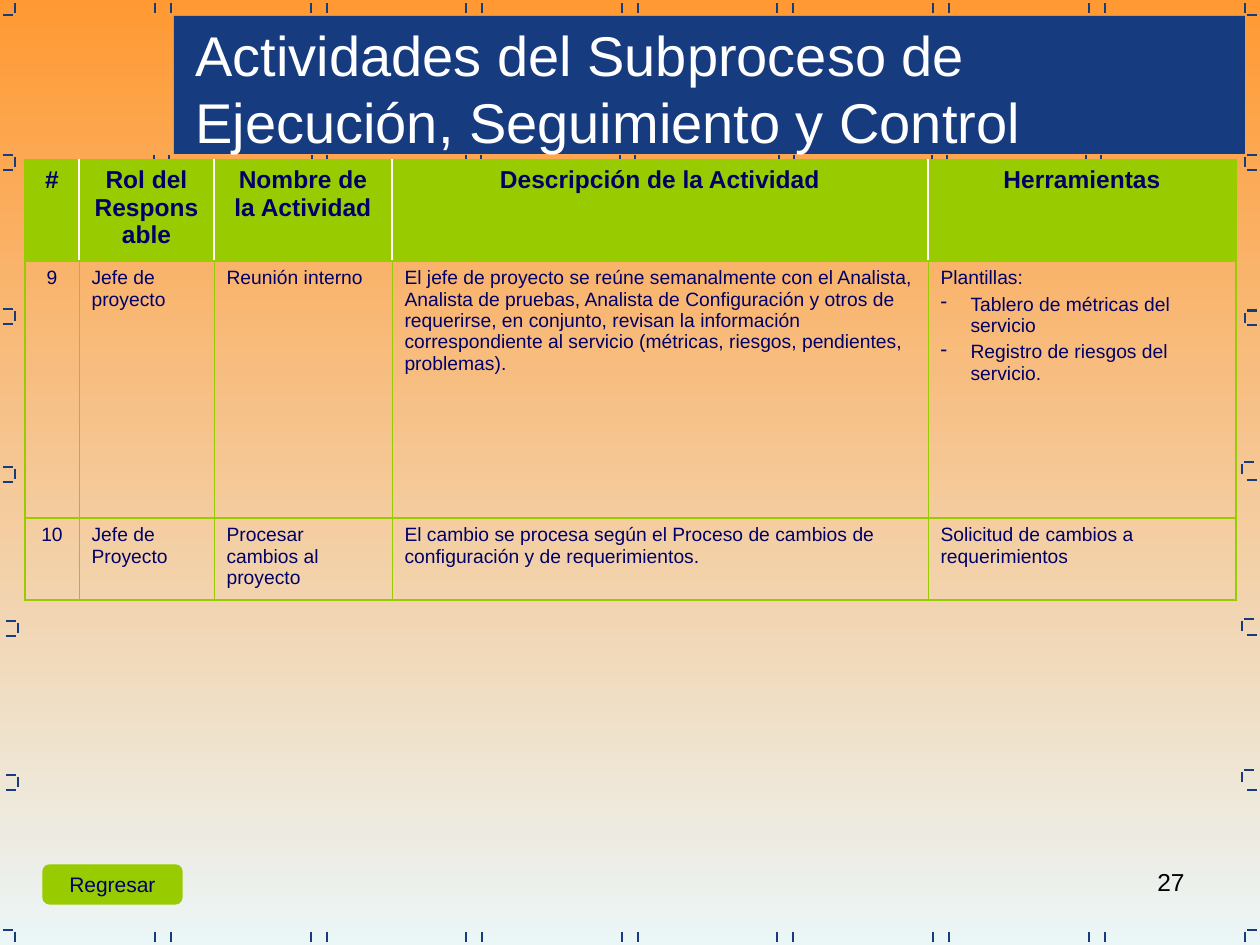
from lxml import etree
from pptx import Presentation
from pptx.dml.color import RGBColor
from pptx.enum.shapes import MSO_CONNECTOR, MSO_SHAPE
from pptx.enum.text import MSO_ANCHOR, PP_ALIGN
from pptx.oxml.ns import qn
from pptx.util import Pt

PX = 914400 / 126
STRAIGHT = MSO_CONNECTOR.STRAIGHT
RECTANGLE, BUTTON = MSO_SHAPE.RECTANGLE, MSO_SHAPE.FLOWCHART_ALTERNATE_PROCESS
CENTER, RIGHT, LEFT = PP_ALIGN.CENTER, PP_ALIGN.RIGHT, PP_ALIGN.LEFT
MIDDLE = MSO_ANCHOR.MIDDLE

BLUE, GREEN, NAVY, WHITE, BLACK = "163B7F", "99CC00", "000066", "FFFFFF", "000000"
SKY = [("FF9933", 0), ("EBF6F7", 1)]
TITLE_FORMAT = {"size": Pt(32), "color": WHITE}
NUMBER_FORMAT = {"size": Pt(14), "color": BLACK}
BUTTON_FORMAT = {"size": Pt(12), "color": NAVY}
HEADER_FORMAT = {"size": Pt(14), "bold": True, "color": NAVY}
BODY_FORMAT = {"size": Pt(11), "bold": False, "color": NAVY}

COLUMN_WIDTHS = [54, 135, 178, 536, 308]
ROW_HEIGHTS = [101, 257, 82]
ACTIVITIES = [
    ["#", "Rol del Responsable", "Nombre de la Actividad",
     "Descripción de la Actividad", "Herramientas"],
    ["9", "Jefe de proyecto", "Reunión interno",
     "El jefe de proyecto se reúne semanalmente con el Analista, Analista de pruebas, "
     "Analista de Configuración y otros de requerirse, en conjunto, revisan la información "
     "correspondiente al servicio (métricas, riesgos, pendientes, problemas).",
     ["Plantillas:", "Tablero de métricas del servicio", "Registro de riesgos del servicio."]],
    ["10", "Jefe de Proyecto", "Procesar cambios al proyecto",
     "El cambio se procesa según el Proceso de cambios de configuración y de requerimientos.",
     "Solicitud de cambios a requerimientos"],
]


def px(length):
    """Turn pixels into EMU."""
    return round(length * PX)


def rgb(hex_color):
    """Turn a hex string into a colour."""
    return RGBColor.from_string(hex_color)


def write(paragraph, text, font_format, alignment=LEFT):
    """Fill a paragraph with one formatted run."""
    paragraph.alignment = alignment
    font = paragraph.add_run()
    font.text = text
    font = font.font
    font.name = "Arial"
    for name, value in font_format.items():
        if name == "color":
            font.color.rgb = rgb(value)
        else:
            setattr(font, name, value)


def add_tick(slide, x1, y1, x2, y2):
    """Draw one thin blue mark."""
    tick = slide.shapes.add_connector(STRAIGHT, px(x1), px(y1), px(x2), px(y2))
    tick.line.color.rgb = rgb(BLUE)
    tick.line.width = Pt(0.75)
    etree.SubElement(tick._element.spPr, qn("a:effectLst"))


def add_spine(slide, x, top):
    """Draw a vertical mark."""
    add_tick(slide, x, top, x, top + 10)


def add_arm(slide, x, y):
    """Draw a horizontal mark."""
    add_tick(slide, x, y, x + 10, y)


def add_edge(slide, left, top):
    """Draw the seven pairs of marks along a horizontal edge."""
    for index in range(7):
        x = left + round(155.6 * index)
        add_spine(slide, x, top)
        add_spine(slide, x + 16, top)


def add_under_title(slide, lefts, top):
    """Draw the cups that hang below the title bar."""
    for left in lefts:
        add_spine(slide, left, top)
        add_spine(slide, left + 15, top)
        add_arm(slide, left + 3, top + 13)


def add_side(slide, corner_x, arm_offset, hooks, arms):
    """Draw a vertical edge: its corners, hooks and separate arms."""
    add_spine(slide, corner_x, 3)
    add_arm(slide, corner_x + arm_offset, 15)
    for spine_x, top in hooks + [(corner_x, 930)]:
        add_arm(slide, spine_x + arm_offset, top)
        add_spine(slide, spine_x, top + 2)
    for x, y in arms:
        add_arm(slide, x, y)


def add_frame(slide):
    """Draw the marks around the slide."""
    for top in (3, 932):
        add_edge(slide, 155, top)
    add_under_title(slide, [154, 312, 466, 620, 779, 932, 1086], 155)
    left_hooks = [(15, 155), (15, 309), (15, 467), (18, 621), (18, 775)]
    add_side(slide, 15, -12, left_hooks, [(x - 12, top + 15) for x, top in left_hooks])
    right_hooks = [(1245, 155), (1245, 311), (1242, 462), (1242, 619), (1242, 770)]
    right_arms = [(1247, 310)] + [(1247, 170 + 155 * index) for index in range(5)]
    add_side(slide, 1245, 2, right_hooks, right_arms)


def add_block(slide, shape_kind, box, color):
    """Add a plain filled shape."""
    block = slide.shapes.add_shape(shape_kind, *map(px, box))
    block.shadow.inherit = False
    block.fill.solid()
    block.fill.fore_color.rgb = rgb(color)
    block.line.fill.background()
    return block


def add_label(slide, box, text, font_format, alignment=LEFT):
    """Add a wrapped text box."""
    frame = slide.shapes.add_textbox(*map(px, box)).text_frame
    frame.word_wrap = True
    write(frame.paragraphs[0], text, font_format, alignment)


def add_title(slide, left, top, width, height):
    """Draw the title bar and its heading."""
    add_block(slide, RECTANGLE, (left, top, width, height), BLUE)
    add_label(slide, (left + 9, top - 2, width - 19, height + 8),
              "Actividades del Subproceso de Ejecución, Seguimiento y Control", TITLE_FORMAT)


def add_return_button(slide, left, top, width, height):
    """Draw the return button."""
    button = add_block(slide, BUTTON, (left, top, width, height), GREEN)
    button.line.color.rgb = rgb(GREEN)
    button.line.width = Pt(0.75)
    frame = button.text_frame
    frame.word_wrap = False
    frame.vertical_anchor = MIDDLE
    write(frame.paragraphs[0], "Regresar", BUTTON_FORMAT, CENTER)


def set_borders(cell, row, column):
    """Rule a cell: heavy outside, thin inside, white between headings."""
    last_row, last_column = len(ROW_HEIGHTS) - 1, len(COLUMN_WIDTHS) - 1
    outer = (GREEN, 1.08)
    upright = (WHITE, 0.75) if row == 0 else (GREEN, 0.45)
    level = (GREEN, 0.75)
    borders = {
        "a:lnL": outer if column == 0 else upright,
        "a:lnR": outer if column == last_column else upright,
        "a:lnT": outer if row == 0 else level,
        "a:lnB": outer if row == last_row else level,
    }
    properties = cell._tc.get_or_add_tcPr()
    for tag, (color, width) in borders.items():
        line = etree.SubElement(properties, qn(tag), w=str(Pt(width)))
        fill = etree.SubElement(line, qn("a:solidFill"))
        etree.SubElement(fill, qn("a:srgbClr"), val=color)


def add_dash(paragraph):
    """Give a paragraph a hanging dash."""
    properties = paragraph._p.get_or_add_pPr()
    properties.set("marL", str(px(30)))
    properties.set("indent", str(-px(30)))
    paragraph.space_before = Pt(2.8)
    etree.SubElement(properties, qn("a:buChar"), char="-")


def fill_cell(cell, content, row, column):
    """Write and style one table cell."""
    set_borders(cell, row, column)
    if row == 0:
        cell.fill.solid()
        cell.fill.fore_color.rgb = rgb(GREEN)
    else:
        cell.fill.background()
    font_format = BODY_FORMAT if row else HEADER_FORMAT
    alignment = CENTER if row == 0 or column == 0 else LEFT
    lines = content if isinstance(content, list) else [content]
    write(cell.text_frame.paragraphs[0], lines[0], font_format, alignment)
    for item in lines[1:]:
        paragraph = cell.text_frame.add_paragraph()
        add_dash(paragraph)
        write(paragraph, item, font_format, alignment)


def add_activities(slide, left, top):
    """Build the table of activities."""
    box = (left, top, sum(COLUMN_WIDTHS), sum(ROW_HEIGHTS))
    table = slide.shapes.add_table(len(ROW_HEIGHTS), len(COLUMN_WIDTHS), *map(px, box)).table
    table.first_row = table.horz_banding = False
    for column, width in zip(table.columns, COLUMN_WIDTHS):
        column.width = px(width)
    for row, (height, contents) in enumerate(zip(ROW_HEIGHTS, ACTIVITIES)):
        table.rows[row].height = px(height)
        for column, content in enumerate(contents):
            fill_cell(table.cell(row, column), content, row, column)


def paint_background(slide):
    """Paint the vertical gradient."""
    fill = slide.background.fill
    fill.gradient()
    fill.gradient_angle = 270
    for stop, (color, position) in zip(fill.gradient_stops, SKY):
        stop.color.rgb = rgb(color)
        stop.position = position


def main():
    """Build and save the slide."""
    deck = Presentation()
    deck.slide_width, deck.slide_height = px(1260), px(945)
    slide = deck.slides.add_slide(deck.slide_layouts[6])
    paint_background(slide)
    add_label(slide, (903, 861, 294, 66), "27", NUMBER_FORMAT, RIGHT)
    add_frame(slide)
    add_title(slide, 174, 16, 1071, 138)
    add_activities(slide, 25, 160)
    add_return_button(slide, 43, 865, 139, 39)
    deck.save("out.pptx")


if __name__ == "__main__":
    main()
